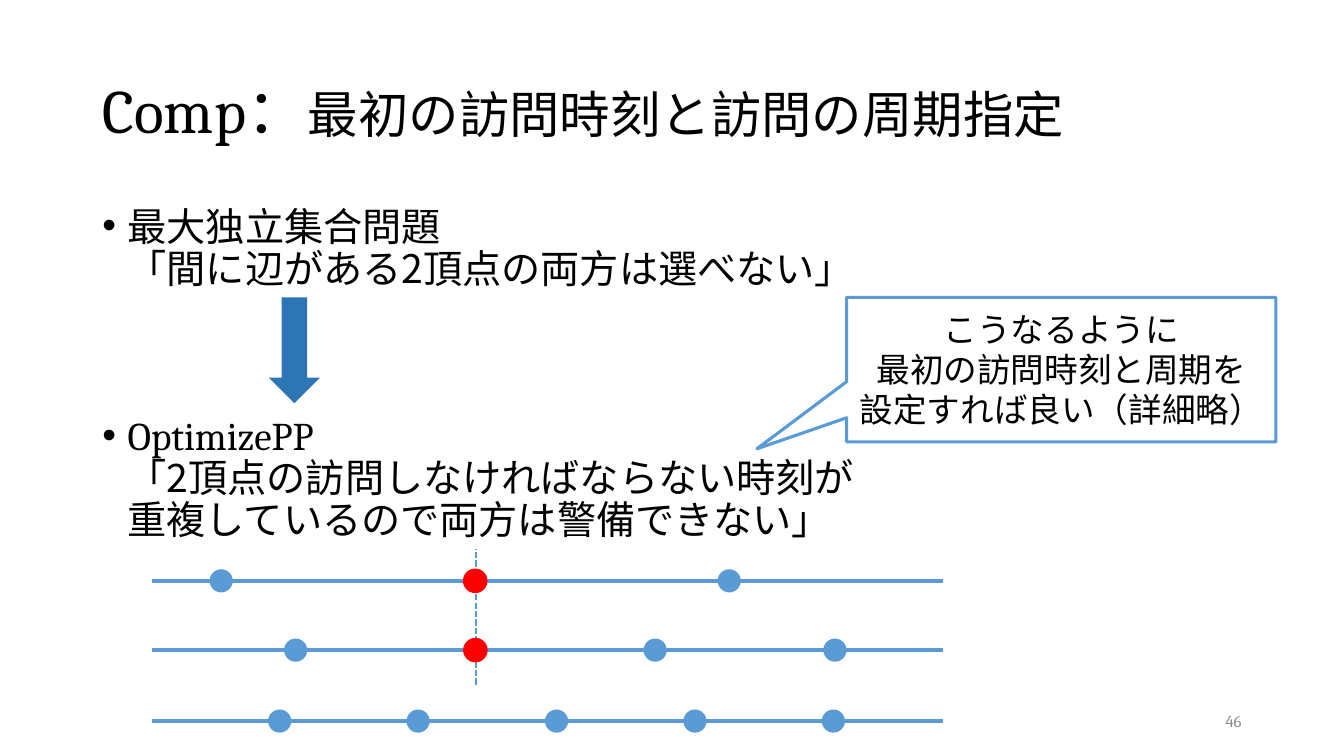
from lxml.etree import SubElement
from pptx import Presentation
from pptx.dml.color import RGBColor
from pptx.enum.dml import MSO_LINE
from pptx.enum.shapes import MSO_CONNECTOR, MSO_SHAPE
from pptx.enum.text import MSO_ANCHOR, MSO_AUTO_SIZE, PP_ALIGN
from pptx.oxml.ns import qn
from pptx.util import Emu, Inches, Pt

BLUE = RGBColor(0x5B, 0x9B, 0xD5)
DARK_BLUE = RGBColor(0x2E, 0x75, 0xB6)
RED = RGBColor(0xFF, 0x00, 0x00)
BLACK = RGBColor(0x00, 0x00, 0x00)
GREY = RGBColor(0x8C, 0x8C, 0x8C)
LATIN = "Cambria"
JAPANESE = "Noto Sans CJK JP"
COLUMNS, ROWS = 160, 90
CELL = Inches(1) / 12


def cells(*counts):
    return [Emu(round(count * CELL)) for count in counts]


def add_lines(para, lines, size, font, colour=BLACK):
    for index, line in enumerate(lines):
        if index:
            para.add_line_break()
        span = para.add_run()
        span.text = line
        span.font.size = Pt(size)
        span.font.name = font
        span.font.color.rgb = colour
        SubElement(span.font._element, qn("a:ea")).set("typeface", font)


deck = Presentation()
deck.slide_width, deck.slide_height = cells(COLUMNS, ROWS)
page = deck.slides.add_slide(deck.slide_layouts[1])

timelines = [
    (69.15, 26.34, 30.24, 3, 1),
    (77.4, 35.2, 21.4, 4, 1),
    (85.85, 33.3, 16.48, 5, None),
]
strokes = [(56.64, 81.5, 56.64, 65.4, 1.5, MSO_LINE.SQUARE_DOT)]
strokes += [(18.1, row, 112.3, row, 3, MSO_LINE.SOLID) for row, *_ in timelines]
for *ends, weight, dash in strokes:
    stroke = page.shapes.add_connector(MSO_CONNECTOR.STRAIGHT, *cells(*ends))
    stroke.line.color.rgb = BLUE
    stroke.line.width = Pt(weight)
    stroke.line.dash_style = dash
    SubElement(stroke._element.spPr, qn("a:effectLst"))

DOT = 2.76
for row, first, step, count, clash in timelines:
    for visit in range(count):
        left = first + visit * step - DOT / 2
        dot = page.shapes.add_shape(
            MSO_SHAPE.OVAL, *cells(left, row - DOT / 2, DOT, DOT)
        )
        dot.shadow.inherit = False
        dot.fill.solid()
        dot.fill.fore_color.rgb = RED if visit == clash else BLUE
        if visit == clash:
            dot.line.color.rgb = RED
            dot.line.width = Pt(1)
        else:
            dot.line.fill.background()

title = page.shapes.title
title.left, title.top, title.width, title.height = cells(11, 4.8, 138, 17.4)
title.text_frame.auto_size = MSO_AUTO_SIZE.NONE
title.text_frame.vertical_anchor = MSO_ANCHOR.MIDDLE
heading = title.text_frame.paragraphs[0]
heading.alignment = PP_ALIGN.LEFT
heading.line_spacing = 0.9
add_lines(heading, ["Comp"], 44, LATIN)
add_lines(heading, ["："], 44, JAPANESE)
add_lines(heading, ["最初の訪問時刻と訪問の周期指定"], 36, JAPANESE)

body = page.placeholders[1]
body.left, body.top, body.width, body.height = cells(11, 24, 138, 57)
body.text_frame.auto_size = MSO_AUTO_SIZE.NONE
body.text_frame.vertical_anchor = MSO_ANCHOR.TOP
problem = body.text_frame.paragraphs[0]
reduction = body.text_frame.add_paragraph()
for para, gap in ((problem, 0), (reduction, 89)):
    settings = para._element.get_or_add_pPr()
    settings.set("marL", str(Inches(0.25)))
    settings.set("indent", str(Inches(-0.25)))
    SubElement(settings, qn("a:buFont")).set("typeface", "Arial")
    SubElement(settings, qn("a:buChar")).set("char", "•")
    para.line_spacing = Pt(30.2)
    para.space_before = Pt(gap)
add_lines(
    problem,
    ["最大独立集合問題", "「間に辺がある2頂点の両方は選べない」"],
    28,
    JAPANESE,
)
add_lines(reduction, ["OptimizePP"], 28, LATIN)
reduction.add_line_break()
add_lines(
    reduction,
    ["「2頂点の訪問しなければならない時刻が", "重複しているので両方は警備できない」"],
    28,
    JAPANESE,
)

callout = page.shapes.add_shape(
    MSO_SHAPE.RECTANGULAR_CALLOUT, *cells(100.8, 35.4, 51.1, 17.2)
)
callout.adjustments[0] = -0.709
callout.adjustments[1] = 0.548
callout.shadow.inherit = False
callout.fill.background()
callout.line.color.rgb = BLUE
callout.line.width = Pt(2.25)
frame = callout.text_frame
frame.word_wrap = True
frame.margin_left = frame.margin_right = Inches(0.05)
frame.vertical_anchor = MSO_ANCHOR.MIDDLE
advice = frame.paragraphs[0]
advice.alignment = PP_ALIGN.CENTER
advice.line_spacing = Pt(28.6)
add_lines(
    advice,
    ["こうなるように", "最初の訪問時刻と周期を", "設定すれば良い（詳細略）"],
    24,
    JAPANESE,
)

arrow = page.shapes.add_shape(MSO_SHAPE.DOWN_ARROW, *cells(32, 35.4, 6.1, 12.6))
arrow.shadow.inherit = False
arrow.fill.solid()
arrow.fill.fore_color.rgb = DARK_BLUE
arrow.line.fill.background()

number = page.shapes.add_textbox(*cells(113, 83.4, 36, 4.8))
number.text_frame.word_wrap = True
number.text_frame.vertical_anchor = MSO_ANCHOR.MIDDLE
number.text_frame.paragraphs[0].alignment = PP_ALIGN.RIGHT
add_lines(number.text_frame.paragraphs[0], ["46"], 12, LATIN, GREY)

deck.save("out.pptx")
